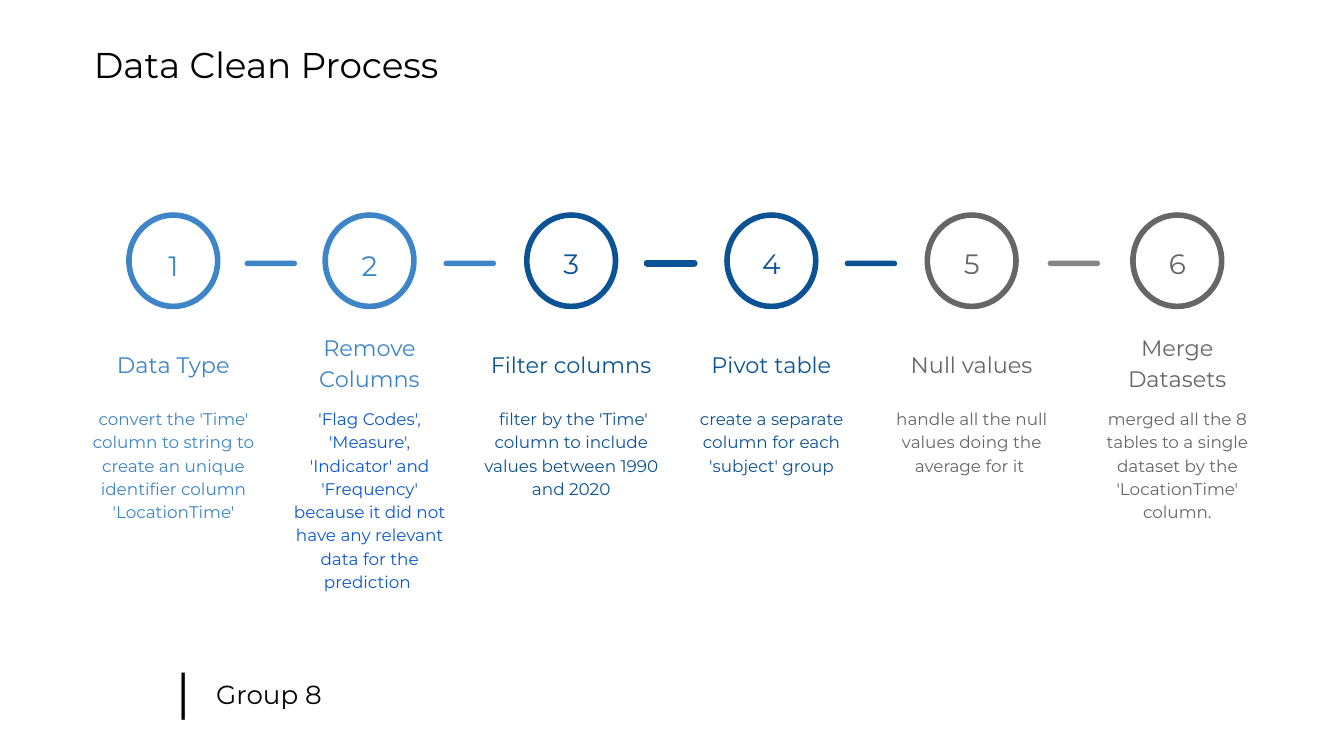
from pptx import Presentation
from pptx.dml.color import RGBColor
from pptx.enum.shapes import MSO_SHAPE
from pptx.enum.text import MSO_ANCHOR, PP_ALIGN
from pptx.util import Inches, Pt

CIRCLE = MSO_SHAPE.OVAL
PILL = MSO_SHAPE.ROUNDED_RECTANGLE
TOP, BOTTOM = MSO_ANCHOR.TOP, MSO_ANCHOR.BOTTOM
LEFT, CENTER = PP_ALIGN.LEFT, PP_ALIGN.CENTER

BLACK, LIGHT_BLUE, BRIGHT_BLUE = "000000", "3D85C6", "0C58D3"
DARK_BLUE, DARK_GRAY, GRAY = "0B5394", "666666", "858585"

STEPS = [
    (1.29, 1.44, LIGHT_BLUE, LIGHT_BLUE, 2.4, "Data Type",
     "convert the 'Time' column to string to create an unique identifier column 'LocationTime'"),
    (2.75, 1.44, LIGHT_BLUE, BRIGHT_BLUE, 2.51, "Remove Columns",
     "'Flag Codes', 'Measure', 'Indicator' and 'Frequency' because it did not "
     "have any relevant data for the prediction "),
    (4.25, 1.5, DARK_BLUE, DARK_BLUE, 2.4, "Filter columns",
     " filter by the 'Time' column to include values between 1990 and 2020"),
    (5.74, 1.44, DARK_BLUE, DARK_BLUE, 2.4, "Pivot table",
     "create a separate column for each 'subject' group"),
    (7.23, 1.5, DARK_GRAY, DARK_GRAY, 2.4, "Null values",
     "handle all the null values doing the average for it "),
    (8.76, 1.5, DARK_GRAY, DARK_GRAY, 2.51, "Merge Datasets",
     "merged all the 8 tables to a single dataset by the 'LocationTime' column."),
]
DASH_COLORS = [LIGHT_BLUE, LIGHT_BLUE, DARK_BLUE, DARK_BLUE, GRAY]


def rgb(color):
    return RGBColor.from_string(color)


class ProcessSlide:
    font = "Montserrat"
    inset = Inches(0.1)

    def __init__(self, slide):
        self.slide = slide

    def text(self, shapes, left, top, width, height, text, size, color,
             align=LEFT, anchor=TOP, line_spacing=None, space_after=0):
        frame = shapes.add_textbox(Inches(left), Inches(top), Inches(width), Inches(height)).text_frame
        frame.word_wrap = True
        frame.vertical_anchor = anchor
        frame.margin_left = frame.margin_right = self.inset
        frame.margin_top = frame.margin_bottom = self.inset
        paragraph = frame.paragraphs[0]
        paragraph.text = text
        paragraph.alignment = align
        paragraph.line_spacing = line_spacing
        paragraph.space_after = Pt(space_after)
        paragraph.font.name = self.font
        paragraph.font.size = Pt(size)
        paragraph.font.color.rgb = rgb(color)

    def circle(self, shapes, center, color):
        shape = shapes.add_shape(CIRCLE, Inches(center - 0.33), Inches(1.6), Inches(0.66), Inches(0.68))
        shape.shadow.inherit = False
        shape.fill.background()
        shape.line.color.rgb = rgb(color)
        shape.line.width = Pt(3)

    def dash(self, center, color, outlined):
        shape = self.slide.shapes.add_shape(
            PILL, Inches(center - 0.2), Inches(1.94), Inches(0.39), Inches(0.04))
        shape.adjustments[0] = 0.5
        shape.shadow.inherit = False
        shape.fill.solid()
        shape.fill.fore_color.rgb = rgb(color)
        if outlined:
            shape.line.color.rgb = rgb(color)
            shape.line.width = Pt(0.75)
        else:
            shape.line.fill.background()

    def step(self, number, center, width, color, detail_color, heading_top, heading, detail):
        shapes = self.slide.shapes.add_group_shape().shapes
        left = center - width / 2
        number_top = 1.71 if number <= 2 else 1.7
        self.circle(shapes, center, color)
        self.text(shapes, center - 0.24, number_top, 0.48, 0.37, str(number), 15, color,
                  CENTER, line_spacing=1.15)
        self.text(shapes, left, heading_top, width, 0.51, heading, 12, color,
                  CENTER, BOTTOM, line_spacing=1.15)
        self.text(shapes, left, 2.92, width, 0.84, detail, 9, detail_color,
                  CENTER, line_spacing=1.15, space_after=16)


def main():
    presentation = Presentation()
    presentation.slide_width = Inches(10)
    presentation.slide_height = presentation.slide_width * 9 // 16
    slide = presentation.slides.add_slide(presentation.slide_layouts[6])
    process = ProcessSlide(slide)

    for number, step in enumerate(STEPS, 1):
        process.step(number, *step)

    centers = [step[0] for step in STEPS]
    for index, color in enumerate(DASH_COLORS):
        process.dash((centers[index] + centers[index + 1]) / 2, color, outlined=index == 2)

    process.text(slide.shapes, 0.6, 0.22, 3.73, 0.63, "Data Clean Process", 19.2, BLACK)
    process.text(slide.shapes, 1.21, 4.81, 0.38, 0.66, "|", 27, BLACK)
    process.text(slide.shapes, 1.51, 4.95, 1.6, 0.44, "Group 8", 14, BLACK)
    presentation.save("out.pptx")


if __name__ == "__main__":
    main()
